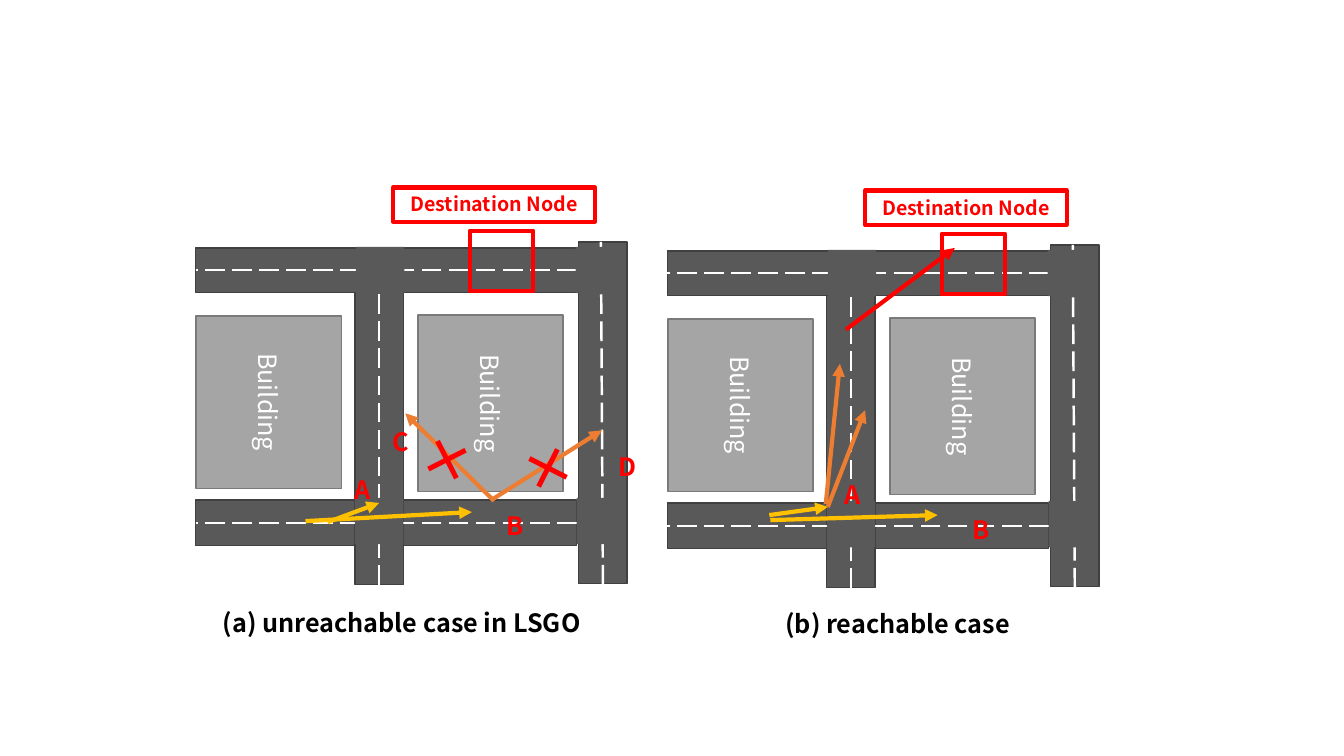
from lxml import etree
from pptx import Presentation
from pptx.dml.color import RGBColor
from pptx.enum.dml import MSO_LINE
from pptx.enum.shapes import MSO_CONNECTOR, MSO_SHAPE
from pptx.enum.text import MSO_ANCHOR, MSO_AUTO_SIZE, PP_ALIGN
from pptx.oxml.ns import qn
from pptx.util import Pt

RECTANGLE = MSO_SHAPE.RECTANGLE
STRAIGHT = MSO_CONNECTOR.STRAIGHT
LONG_DASH = MSO_LINE.LONG_DASH
CENTER = PP_ALIGN.CENTER
MIDDLE, TOP = MSO_ANCHOR.MIDDLE, MSO_ANCHOR.TOP
GROW = MSO_AUTO_SIZE.SHAPE_TO_FIT_TEXT

PX = 9144  # 100 px to the inch
FONT = "Noto Sans CJK JP"
WHITE, BLACK, RED = "FFFFFF", "000000", "FF0000"
ROAD, ROAD_EDGE = "595959", "404040"
BUILDING, BUILDING_EDGE = "A5A5A5", "7A7A7A"
YELLOW, ORANGE = "FFC000", "ED7D31"

presentation = Presentation()
presentation.slide_width = 1333 * PX
presentation.slide_height = 750 * PX
slide = presentation.slides.add_slide(presentation.slide_layouts[6])


def color(hex_value):
    return RGBColor.from_string(hex_value)


def write(shape, text, size, hex_value, bold=True):
    paragraph = shape.text_frame.paragraphs[0]
    run = paragraph.add_run()
    run.text = text
    formats = {"name": FONT, "size": Pt(size), "bold": bold}
    for name, value in formats.items():
        setattr(run.font, name, value)
    run.font.color.rgb = color(hex_value)
    return paragraph


# Each map part: left, top, width, height, rotation, fill, edge, edge width, text
# Each center line: from x, from y, to x, to y
STREET_MAP = [
    (181, 327, 171, 144, 90, BUILDING, BUILDING_EDGE, 1, "Building"),
    (399, 328, 175, 144, 90, BUILDING, BUILDING_EDGE, 1, "Building"),
    (194, 496, 378, 45, 0, ROAD, ROAD_EDGE, 1, ""),
    (352, 290, 48, 290, 0, ROAD, ROAD_EDGE, 1, ""),
    (572, 519, 194, 519),
    (376, 580, 376, 289),
    (194, 246, 378, 44, 0, ROAD, ROAD_EDGE, 1, ""),
    (572, 268, 194, 268),
    (352, 494, 48, 46, 0, ROAD, None, 0, ""),
    (353, 245, 48, 46, 0, ROAD, None, 0, ""),
    (574, 240, 48, 339, 0, ROAD, ROAD_EDGE, 1, ""),
    (598, 580, 596, 240),
    (571, 245, 48, 46, 0, ROAD, None, 0, ""),
    (572, 494, 48, 46, 0, ROAD, None, 0, ""),
    (466, 229, 63, 60, 0, None, RED, 3, ""),
    (390, 186, 200, 34, 0, None, RED, 3, "Destination Node"),
]
MAP_OFFSETS = [(0, 0), (468, 3)]

connectors = []
for offset_x, offset_y in MAP_OFFSETS:
    for x, y, *rest in STREET_MAP:
        x, y = x + offset_x, y + offset_y
        if len(rest) == 2:
            end_x, end_y = rest[0] + offset_x, rest[1] + offset_y
            line = slide.shapes.add_connector(
                STRAIGHT, x * PX, y * PX, end_x * PX, end_y * PX)
            line.line.color.rgb = color(WHITE)
            line.line.width = Pt(1.75)
            line.line.dash_style = LONG_DASH
            connectors.append(line)
            continue
        width, height, rotation, fill, edge, edge_width, text = rest
        shape = slide.shapes.add_shape(
            RECTANGLE, x * PX, y * PX, width * PX, height * PX)
        shape.shadow.inherit = False
        shape.rotation = rotation
        if fill:
            shape.fill.solid()
            shape.fill.fore_color.rgb = color(fill)
        else:
            shape.fill.background()
        if edge:
            shape.line.color.rgb = color(edge)
            shape.line.width = Pt(edge_width)
        else:
            shape.line.fill.background()
        if text:
            is_building = fill == BUILDING
            size, text_color = (18, WHITE) if is_building else (14, RED)
            paragraph = write(shape, text, size, text_color, not is_building)
            paragraph.alignment = CENTER
            shape.text_frame.word_wrap = True
            shape.text_frame.vertical_anchor = MIDDLE if is_building else TOP
            if not is_building:
                shape.text_frame.auto_size = GROW

ARROWS = [
    (303, 517, 468, 508, YELLOW),
    (325, 518, 376, 499, YELLOW),
    (489, 495, 597, 427, ORANGE),
    (490, 497, 402, 410, ORANGE),
    (763, 511, 821, 503, YELLOW),
    (764, 516, 930, 511, YELLOW),
    (819, 500, 833, 361, ORANGE),
    (821, 503, 858, 407, ORANGE),
    (839, 327, 947, 246, RED),
]
for start_x, start_y, end_x, end_y, arrow_color in ARROWS:
    arrow = slide.shapes.add_connector(
        STRAIGHT, start_x * PX, start_y * PX, end_x * PX, end_y * PX)
    arrow.line.color.rgb = color(arrow_color)
    arrow.line.width = Pt(3)
    etree.SubElement(arrow.line._get_or_add_ln(), qn("a:tailEnd"), type="triangle")
    connectors.append(arrow)

for connector in connectors:
    etree.SubElement(connector._element.spPr, qn("a:effectLst"))

# Left, top, width, height, rotation, text, size, color
LABELS = [
    (409, 421, 71, 71, 18.1, "×", 36, RED),
    (509, 429, 71, 71, 341.8, "×", 36, RED),
    (211, 598, 387, 40, 0, "(a) unreachable case in LSGO", 18, BLACK),
    (769, 599, 248, 40, 0, "(b) reachable case", 18, BLACK),
    (342, 466, 38, 40, 0, "A", 18, RED),
    (493, 501, 38, 40, 0, "B", 18, RED),
    (379, 418, 38, 40, 0, "C", 18, RED),
    (604, 443, 40, 40, 0, "D", 18, RED),
    (828, 471, 38, 40, 0, "A", 18, RED),
    (955, 505, 38, 40, 0, "B", 18, RED),
]
for left, top, width, height, rotation, text, size, text_color in LABELS:
    label = slide.shapes.add_textbox(left * PX, top * PX, width * PX, height * PX)
    label.rotation = rotation
    label.text_frame.word_wrap = False
    label.text_frame.auto_size = GROW
    write(label, text, size, text_color)

presentation.save("out.pptx")
